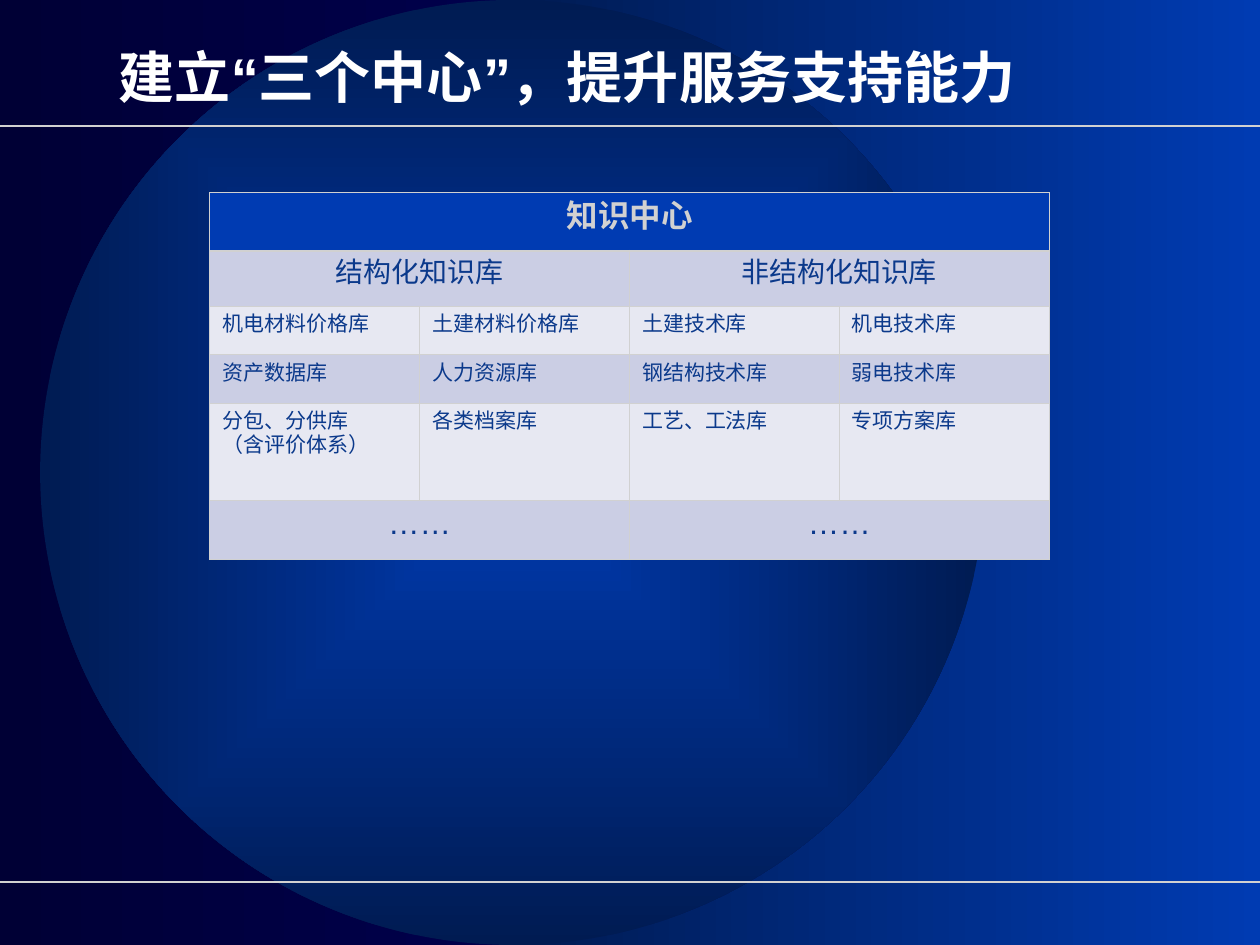
import dataclasses

import pptx
import pptx.dml.color
import pptx.enum.lang
import pptx.enum.shapes
import pptx.enum.text
import pptx.oxml
import pptx.oxml.ns
import pptx.util
from lxml import etree

Cm = pptx.util.Cm
Pt = pptx.util.Pt
ALIGN = pptx.enum.text.PP_ALIGN
SHAPE = pptx.enum.shapes.MSO_SHAPE
qn = pptx.oxml.ns.qn


@dataclasses.dataclass(frozen=True)
class Theme:
    font: str = "Arial"
    night: str = "000035"
    indigo: str = "000072"
    navy: str = "001B52"
    blue: str = "003BB2"
    silver: str = "D1D1D1"
    white: str = "FFFFFF"
    ink: str = "0B398B"
    band_dark: str = "CBCEE4"
    band_light: str = "E7E8F2"
    title_size: int = 32
    heading_size: int = 18
    group_size: int = 16
    item_size: int = 12
    rule: float = 1
    border: float = 0.45
    heading_border: float = 1.47


THEME = Theme()
PAGE_WIDTH, PAGE_HEIGHT = Cm(25.4), Cm(19.05)
COLUMN_WIDTH = Cm(4.23)
# Each row: height in cm, texts spread evenly over the four columns, type size
ROWS = [
    (1.18, ["知识中心"], THEME.heading_size),
    (1.11, ["结构化知识库", "非结构化知识库"], THEME.group_size),
    (0.98, ["机电材料价格库", "土建材料价格库", "土建技术库", "机电技术库"], THEME.item_size),
    (0.98, ["资产数据库", "人力资源库", "钢结构技术库", "弱电技术库"], THEME.item_size),
    (1.95, ["分包、分供库\n（含评价体系）", "各类档案库", "工艺、工法库", "专项方案库"], THEME.item_size),
    (1.19, ["……", "……"], THEME.heading_size),
]


def rgb(value):
    return pptx.dml.color.RGBColor.from_string(value)


def write(frame, text, *, size, color, bold=False, align=ALIGN.LEFT):
    """Fill a text frame, one paragraph for each line of text."""
    frame.word_wrap = True
    for number, line in enumerate(text.split("\n")):
        para = frame.add_paragraph() if number else frame.paragraphs[0]
        para.alignment = align
        span = para.add_run()
        span.text = line
        span.font.size = Pt(size)
        span.font.bold = bold
        span.font.color.rgb = rgb(color)
        span.font.name = THEME.font
        span.font.language_id = pptx.enum.lang.MSO_LANGUAGE_ID.SIMPLIFIED_CHINESE
        east_asian = etree.SubElement(span.font._element, qn("a:ea"))
        east_asian.set("typeface", THEME.font)


def fill_gradient(fill, start, end):
    fill.gradient()
    fill.gradient_angle = 0
    for stop, color in zip(fill.gradient_stops, (start, end)):
        stop.color.rgb = rgb(color)


def centre_gradient(shape):
    """Let the gradient run outwards from the middle instead of across."""
    linear = shape._element.spPr.find(".//" + qn("a:lin"))
    outward = etree.Element(qn("a:path"), {"path": "rect"})
    middle = dict.fromkeys("ltrb", "50000")
    etree.SubElement(outward, qn("a:fillToRect"), middle)
    linear.getparent().replace(linear, outward)


def add_backdrop_shape(page, kind, left, top, width, height, start, end):
    shape = page.shapes.add_shape(kind, left, top, width, height)
    shape.shadow.inherit = False
    shape.line.fill.background()
    fill_gradient(shape.fill, start, end)
    return shape


def add_rule(page, top):
    line = page.shapes.add_connector(
        pptx.enum.shapes.MSO_CONNECTOR.STRAIGHT, 0, top, PAGE_WIDTH, top)
    line.line.color.rgb = rgb(THEME.silver)
    line.line.width = Pt(THEME.rule)
    etree.SubElement(line._element.spPr, qn("a:effectLst"))


def add_title(page, text):
    box = page.shapes.add_textbox(Cm(0.84), Cm(0.36), Cm(19.89), Cm(2.34))
    box.text_frame.vertical_anchor = pptx.enum.text.MSO_ANCHOR.MIDDLE
    write(box.text_frame, text, size=THEME.title_size, color=THEME.white,
          bold=True, align=ALIGN.RIGHT)


def set_borders(cell, row):
    widths = dict.fromkeys("LRTB", THEME.border)
    if row == 0:
        widths["B"] = THEME.heading_border
    elif row == 1:
        widths["T"] = THEME.heading_border
    properties = cell._tc.get_or_add_tcPr()
    for side, width in widths.items():
        edge = etree.SubElement(properties, qn("a:ln" + side), w=str(Pt(width)))
        solid = etree.SubElement(edge, qn("a:solidFill"))
        etree.SubElement(solid, qn("a:srgbClr"), val=THEME.silver)


def add_knowledge_table(page):
    columns = 4
    height = Cm(sum(row[0] for row in ROWS))
    table = page.shapes.add_table(
        len(ROWS), columns, COLUMN_WIDTH, Cm(3.88), COLUMN_WIDTH * columns, height).table
    table.first_row = table.horz_banding = False
    for column in table.columns:
        column.width = COLUMN_WIDTH
    for row, (row_height, texts, size) in enumerate(ROWS):
        table.rows[row].height = Cm(row_height)
        heading = row == 0
        band = THEME.band_dark if row % 2 else THEME.band_light
        for column in range(columns):
            cell = table.cell(row, column)
            set_borders(cell, row)
            cell.fill.solid()
            cell.fill.fore_color.rgb = rgb(THEME.blue if heading else band)
        reach = columns // len(texts)
        for number, text in enumerate(texts):
            first = number * reach
            cell = table.cell(row, first)
            if reach > 1:
                cell.merge(table.cell(row, first + reach - 1))
            write(cell.text_frame, text, size=size, bold=heading,
                  color=THEME.silver if heading else THEME.ink,
                  align=ALIGN.CENTER if reach > 1 else ALIGN.LEFT)


def main():
    deck = pptx.Presentation()
    deck.slide_width, deck.slide_height = PAGE_WIDTH, PAGE_HEIGHT
    page = deck.slides.add_slide(deck.slide_layouts[6])
    fill_gradient(page.background.fill, THEME.night, THEME.indigo)
    panel_left = Cm(10.36)
    add_backdrop_shape(page, SHAPE.RECTANGLE, panel_left, 0,
                       PAGE_WIDTH - panel_left, PAGE_HEIGHT, THEME.navy, THEME.blue)
    disc = add_backdrop_shape(page, SHAPE.OVAL, Cm(0.81), 0, PAGE_HEIGHT, PAGE_HEIGHT,
                              THEME.blue, THEME.navy)
    centre_gradient(disc)
    for top in (Cm(2.54), Cm(17.78)):
        add_rule(page, top)
    add_title(page, "建立“三个中心”，提升服务支持能力")
    add_knowledge_table(page)
    deck.save("out.pptx")


if __name__ == "__main__":
    main()
